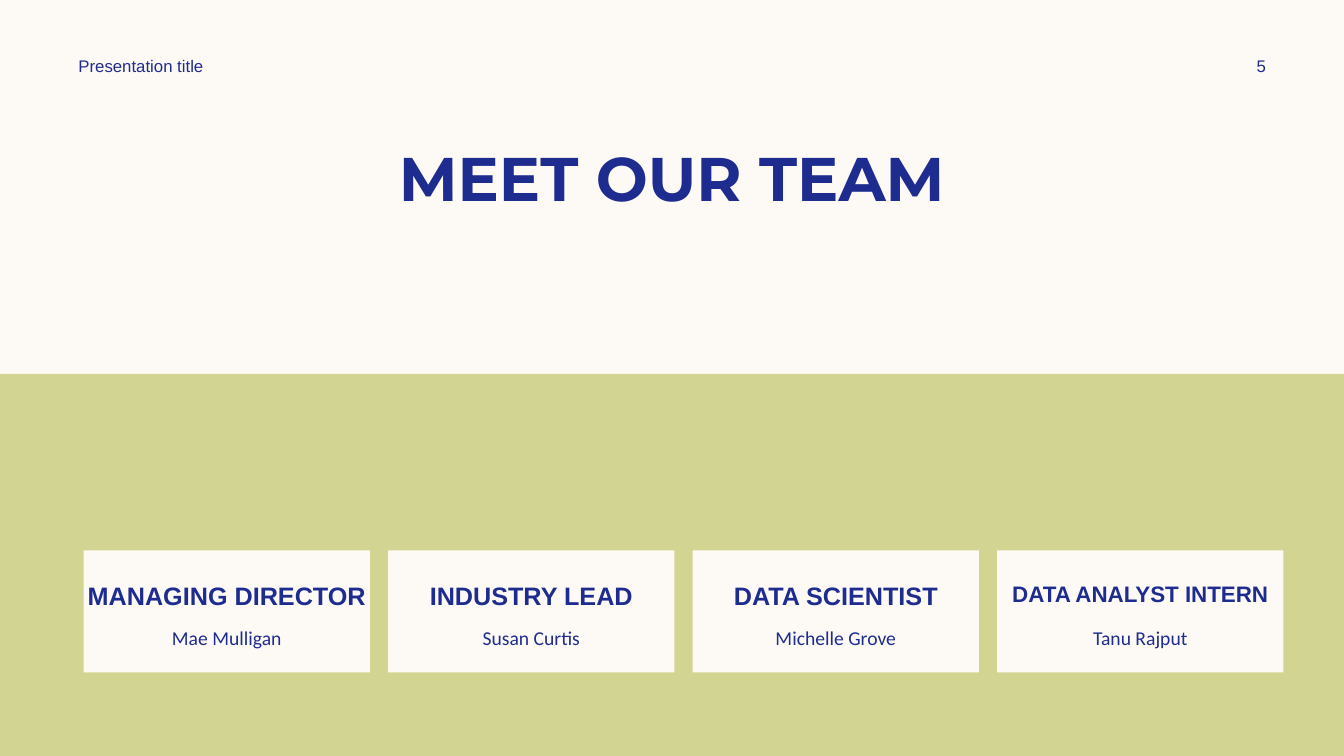
"""Build the team slide with four role cards."""
from pptx import Presentation
from pptx.dml.color import RGBColor
from pptx.enum.shapes import MSO_SHAPE as SHAPE
from pptx.enum.text import MSO_ANCHOR as ANCHOR, PP_ALIGN as ALIGN
from pptx.util import Inches, Pt

COLORS = {"cream": "FDFAF6", "green": "D2D592", "navy": "1F2C8F"}
TEAM = [
    ("MANAGING DIRECTOR", 18, "Mae Mulligan"),
    ("INDUSTRY LEAD", 18, "Susan Curtis"),
    ("DATA SCIENTIST", 18, "Michelle Grove"),
    ("DATA ANALYST INTERN", 16, "Tanu Rajput"),
]
CARD_LEFT, CARD_STEP, CARD_WIDTH = 0.83, 3.02, 2.84
NAME_WIDTH = 2.5


class Deck:
    def __init__(self):
        self.prs = Presentation()
        self.prs.slide_width, self.prs.slide_height = Inches(13.33), Inches(7.5)
        self.s = self.prs.slides.add_slide(self.prs.slide_layouts[6])
        self.paint(self.s.background.fill, "cream")

    def paint(self, fill, color):
        fill.solid()
        fill.fore_color.rgb = RGBColor.from_string(COLORS[color])

    def rect(self, box, color):
        sp = self.s.shapes.add_shape(SHAPE.RECTANGLE, *map(Inches, box))
        sp.shadow.inherit = False
        self.paint(sp.fill, color)
        sp.line.fill.background()
        return sp

    def put_run(self, sp, text, size, font, bold=False, align=ALIGN.CENTER, anchor=ANCHOR.MIDDLE):
        tf = sp.text_frame
        tf.word_wrap = True
        tf.vertical_anchor = anchor
        p = tf.paragraphs[0]
        p.alignment = align
        r = p.add_run()
        r.text = text
        r.font.size, r.font.name, r.font.bold = Pt(size), font, bold
        r.font.color.rgb = RGBColor.from_string(COLORS["navy"])

    def text(self, box, *args, **style):
        self.put_run(self.s.shapes.add_textbox(*map(Inches, box)), *args, **style)

    def card(self, left, role, size, name):
        sp = self.rect((left, 5.46, CARD_WIDTH, 1.21), "cream")
        tf = sp.text_frame
        tf.margin_left = tf.margin_right = 0
        tf.margin_top, tf.margin_bottom = Inches(0.3), Inches(0.05)
        self.put_run(sp, role, size, "Arial", bold=True, anchor=ANCHOR.TOP)
        name_left = left + (CARD_WIDTH - NAME_WIDTH) / 2
        self.text((name_left, 6.13, NAME_WIDTH, 0.4), name, 14, "Calibri")


def main():
    deck = Deck()
    deck.rect((-0.03, 3.71, 13.36, 3.79), "green")
    deck.text((0.83, 1.33, 11.67, 0.84), "MEET OUR TEAM", 44, "Montserrat", bold=True)
    deck.text((0.68, 0.5, 3.5, 0.3), "Presentation title", 12, "Arial", align=ALIGN.LEFT)
    deck.text((11.97, 0.5, 1.08, 0.3), "5", 12, "Arial")
    for i, member in enumerate(TEAM):
        deck.card(CARD_LEFT + i * CARD_STEP, *member)
    deck.prs.save("out.pptx")


if __name__ == "__main__":
    main()
